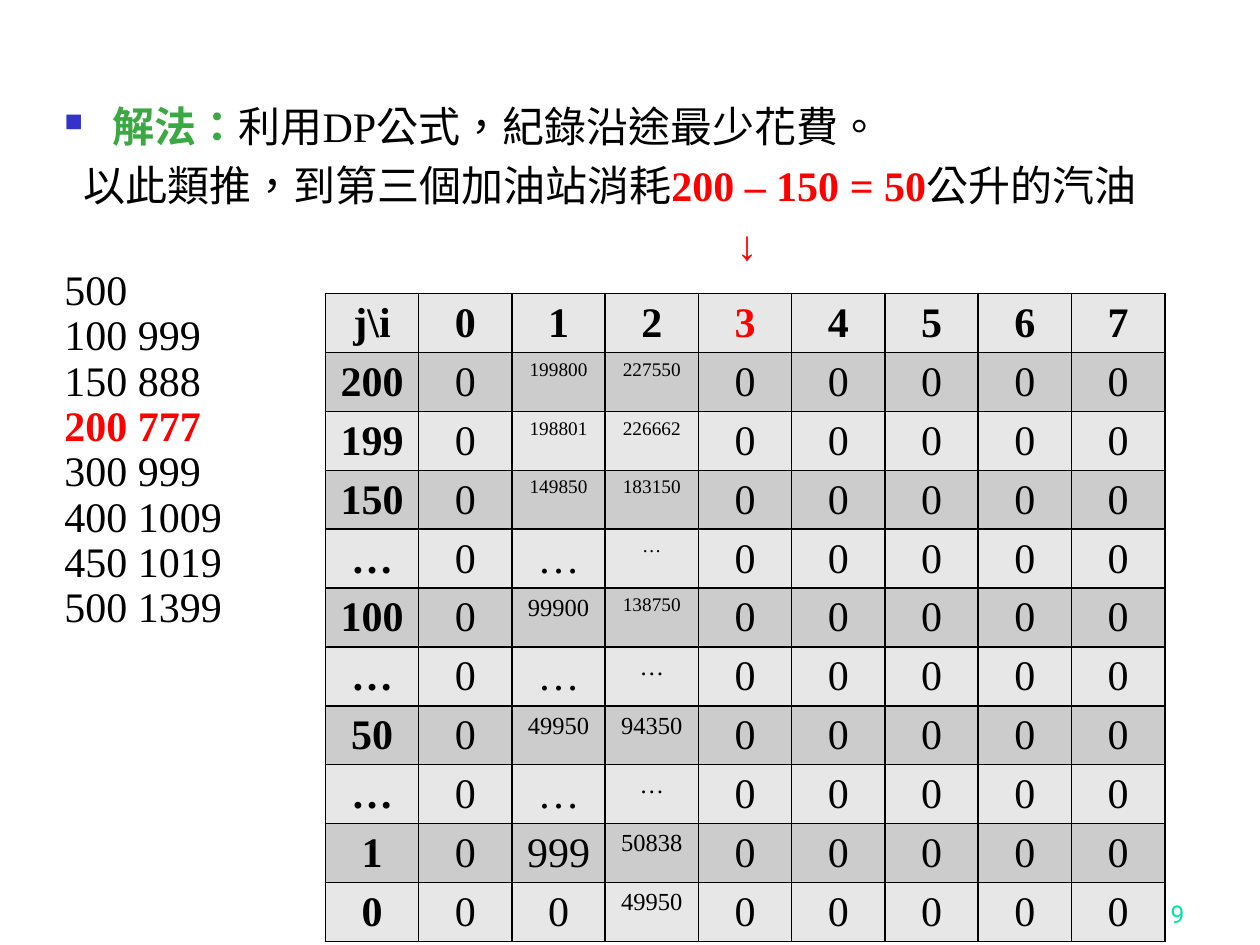
from lxml.etree import SubElement
from pptx import Presentation
from pptx.dml.color import RGBColor
from pptx.enum.lang import MSO_LANGUAGE_ID as Lang
from pptx.enum.text import MSO_ANCHOR as Anchor, PP_ALIGN as Align
from pptx.oxml import parse_xml
from pptx.oxml.ns import nsdecls, qn
from pptx.util import Cm, Pt

SERIF = "Times New Roman"
BLACK, RED, GREEN = "000000", "FF0000", "3BA943"
LIGHT, DARK = "E7E7E7", "CCCCCC"
BODY_SIZE = 24

HEADING = [
    [("解法：", GREEN, True), ("利用DP公式，紀錄沿途最少花費。", BLACK, False)],
    [("以此類推，到第三個加油站消耗", BLACK, False), ("200 – 150 = 50", RED, True),
     ("公升的汽油", BLACK, False)],
    [("↓", RED, True)],
]
HEADING_INDENTS = [(0.97, -0.97), (0, 0.38), (13.55, 0)]
STATIONS = ["500", "100 999", "150 888", "200 777", "300 999", "400 1009", "450 1019", "500 1399"]
CURRENT_STATION = "200 777"

HEADER = ["j\\i", "0", "1", "2", "3", "4", "5", "6", "7"]
CURRENT_COLUMN = 4
COSTS = [
    ("200", ("199800", 11), ("227550", 11)),
    ("199", ("198801", 11), ("226662", 11)),
    ("150", ("149850", 11), ("183150", 11)),
    ("…", ("…", 24), ("…", 11)),
    ("100", ("99900", 14), ("138750", 11)),
    ("…", ("…", 24), ("…", 14)),
    ("50", ("49950", 14), ("94350", 14)),
    ("…", ("…", 24), ("…", 14)),
    ("1", ("999", 24), ("50838", 14)),
    ("0", ("0", 24), ("49950", 14)),
]
COL_W, ROW_H = 1.88, 1.03
CELL_TOP, CELL_BOTTOM = 0.13, 0.04


def rgb(color):
    return RGBColor.from_string(color)


def style(r, size, color, bold=False, name=SERIF):
    f = r.font
    f.size, f.bold, f.name = Pt(size), bold, name
    f.color.rgb = rgb(color)


def add_box(s, left, top, width, height):
    tf = s.shapes.add_textbox(Cm(left), Cm(top), Cm(width), Cm(height)).text_frame
    tf.word_wrap = True
    return tf


def add_bullet(p, char, color, percent):
    pPr = p._p.get_or_add_pPr()
    clr = SubElement(pPr, qn("a:buClr"))
    SubElement(clr, qn("a:srgbClr"), val=color)
    SubElement(pPr, qn("a:buSzPct"), val=str(percent * 1000))
    SubElement(pPr, qn("a:buChar"), char=char)


def add_explanation(s):
    tf = add_box(s, 1.05, 1.9, 22.43, 15.62)
    for i, (runs, (margin, indent)) in enumerate(zip(HEADING, HEADING_INDENTS)):
        p = tf.add_paragraph() if i else tf.paragraphs[0]
        pPr = p._p.get_or_add_pPr()
        pPr.set("marL", str(Cm(margin)))
        pPr.set("indent", str(Cm(indent)))
        if i:
            p.space_before = Pt(5)
        else:
            add_bullet(p, "■", "3333CC", 60)
        for text, color, bold in runs:
            r = p.add_run()
            r.text = text
            style(r, BODY_SIZE, color, bold)
            r.font.language_id = Lang.TRADITIONAL_CHINESE
    for station in STATIONS:
        p = tf.add_paragraph()
        p.text = station
        p.line_spacing = 0.9
        current = station == CURRENT_STATION
        style(p.runs[0], BODY_SIZE, RED if current else BLACK, current)


def add_page_number(s):
    tf = add_box(s, 18.85, 17.58, 5.28, 1.27)
    tf.vertical_anchor = Anchor.BOTTOM
    p = tf.paragraphs[0]
    p.text = "19"
    p.alignment = Align.RIGHT
    style(p.runs[0], 14, "00E4A8", name="Roboto")


def fill_cell(cell, text, size, color, bold, fill):
    cell.margin_top, cell.margin_bottom = Cm(CELL_TOP), Cm(CELL_BOTTOM)
    p = cell.text_frame.paragraphs[0]
    p.text = text
    p.alignment = Align.CENTER
    style(p.runs[0], size, color, bold)
    tcPr = cell._tc.get_or_add_tcPr()
    for side in "LRTB":
        tcPr.append(parse_xml(
            f'<a:ln{side} {nsdecls("a")} w="{Pt(1)}"><a:solidFill>'
            f'<a:srgbClr val="{BLACK}"/></a:solidFill></a:ln{side}>'))
    cell.fill.solid()
    cell.fill.fore_color.rgb = rgb(fill)


def add_cost_table(s):
    zero = ("0", BODY_SIZE)
    rows = [[(text, BODY_SIZE) for text in HEADER]]
    for litres, first, second in COSTS:
        rows.append([(litres, BODY_SIZE), zero, first, second] + [zero] * 5)
    n_rows, n_cols = len(rows), len(HEADER)
    table = s.shapes.add_table(n_rows, n_cols, Cm(6.56), Cm(5.92),
                               Cm(COL_W * n_cols), Cm(ROW_H * n_rows)).table
    for col in table.columns:
        col.width = Cm(COL_W)
    for i, row in enumerate(rows):
        table.rows[i].height = Cm(ROW_H)
        for j, (text, size) in enumerate(row):
            color = RED if (i, j) == (0, CURRENT_COLUMN) else BLACK
            fill_cell(table.cell(i, j), text, size, color,
                      i == 0 or j == 0, DARK if i % 2 else LIGHT)


def main():
    prs = Presentation()
    prs.slide_width, prs.slide_height = Cm(25.4), Cm(19.05)
    s = prs.slides.add_slide(prs.slide_layouts[6])
    add_page_number(s)
    add_explanation(s)
    add_cost_table(s)
    prs.save("out.pptx")


if __name__ == "__main__":
    main()
